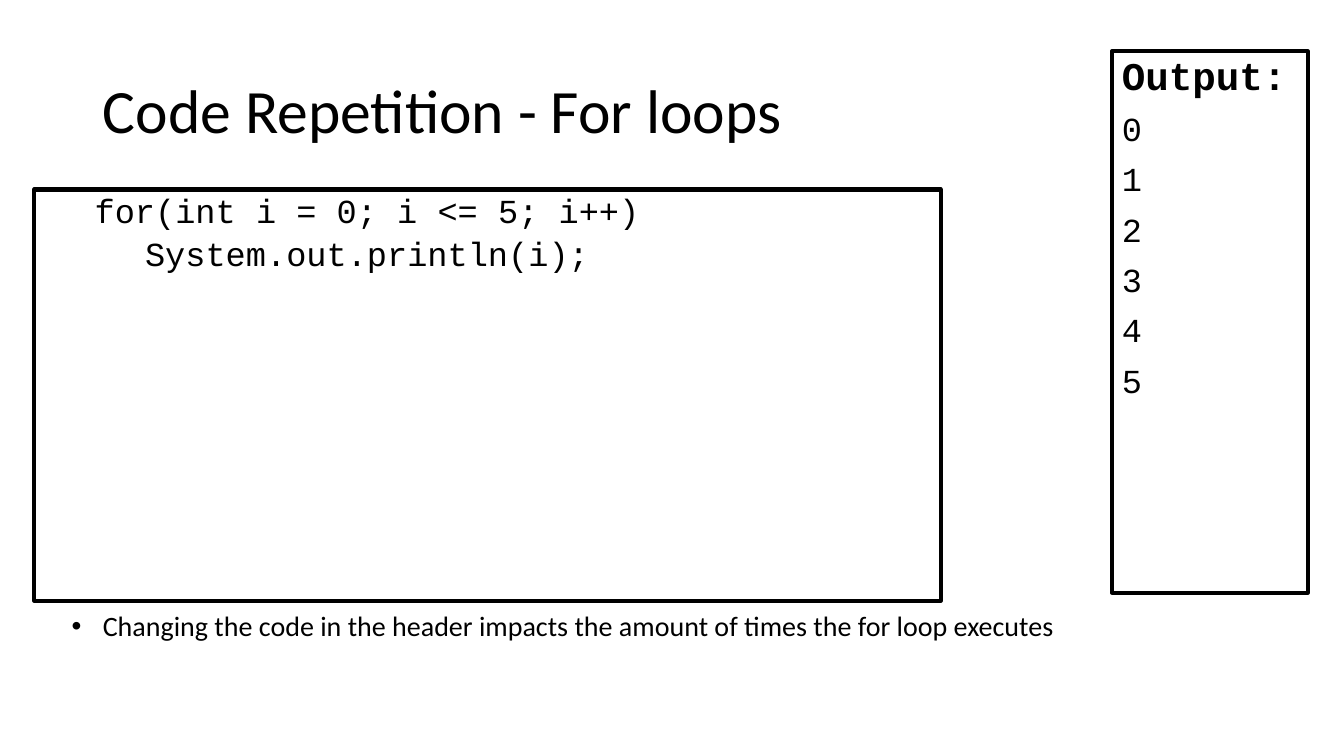
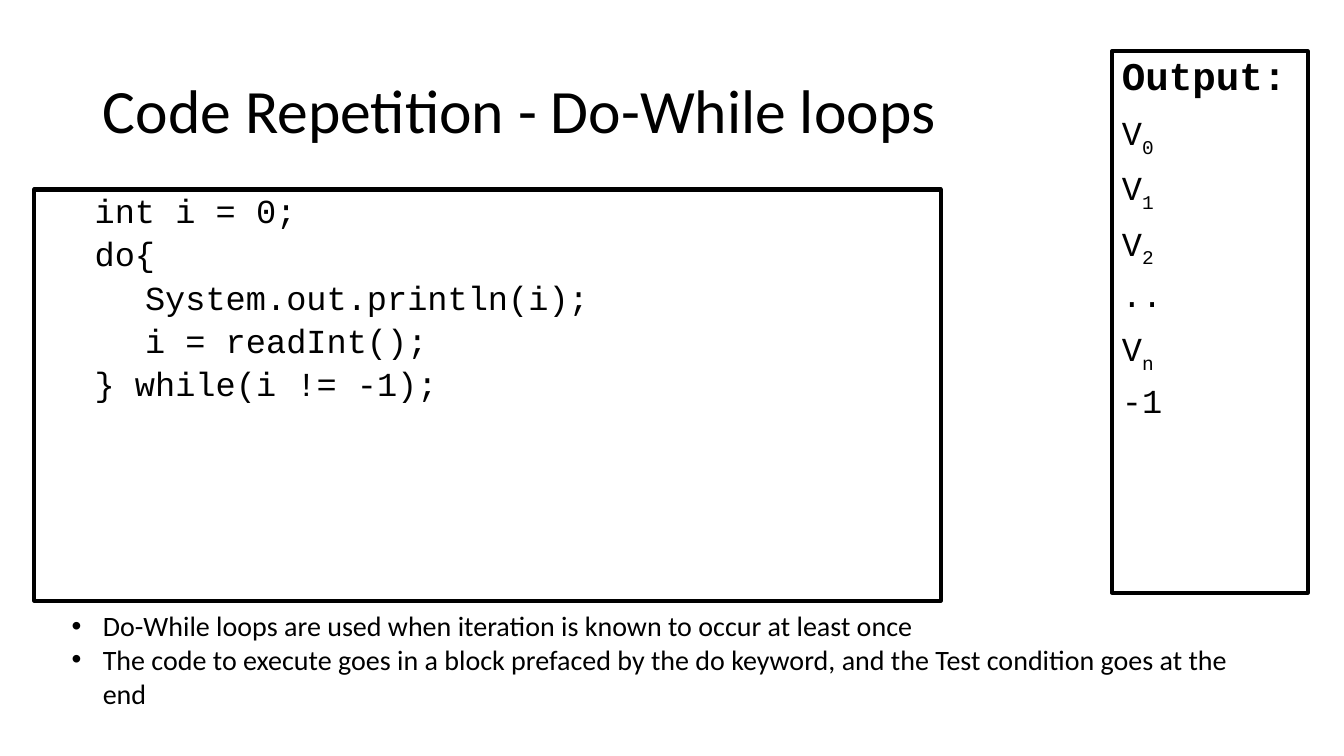
from pptx import Presentation, util as u
from pptx.dml.color import RGBColor
from pptx.enum import shapes, text

INK = "000000"
SANS, MONO = "Calibri", "Courier New"
TITLE = (0.92, 0.4, 11.5, 1.45)
OUTPUT = (11.03, 0.51, 1.94, 5.37)
CODE = (0.34, 1.88, 8.99, 4.08)
STEP = 0.5

LOOPS = [
    dict(
        name="Code Repetition - For loops",
        code=[(0, "for(int i = 0; i <= 5; i++)"), (1, "System.out.println(i);")],
        result=[(str(i), "") for i in range(6)],
        notes=["Changing the code in the header impacts the amount of times the for loop executes"],
        tall=0.44,
    ),
    dict(
        name="Code Repetition - Do-While loops",
        code=[
            (0, "int i = 0;"),
            (0, "do{"),
            (1, "System.out.println(i);"),
            (1, "i = readInt();"),
            (0, "} while(i != -1);"),
        ],
        result=[("V", "0"), ("V", "1"), ("V", "2"), ("..", ""), ("V", "n"), ("-1", "")],
        notes=[
            "Do-While loops are used when iteration is known to occur at least once",
            "The code to execute goes in a block prefaced by the do keyword, "
            "and the Test condition goes at the end",
        ],
        tall=1.11,
    ),
]


def paint(color, code):
    """Set a colour format from a hex string."""
    color.rgb = RGBColor.from_string(code)


def place(shape, box):
    """Move and size a shape in inches."""
    shape.left, shape.top, shape.width, shape.height = map(u.Inches, box)


def write(frame, words, size, face, gap=0, lead=0.9, bold=False, left=0, first=0, sub=""):
    """Add one styled paragraph, using the empty first one if it is free."""
    fresh = not frame.text
    para = frame.paragraphs[0] if fresh else frame.add_paragraph()
    para.add_run().text = words
    if sub:
        run = para.add_run()
        run.text = sub
        run._r.get_or_add_rPr().set("baseline", "-25000")
    props = para._p.get_or_add_pPr()
    props.set("marL", str(u.Inches(left)))
    props.set("indent", str(u.Inches(first)))
    para.alignment = text.PP_ALIGN.LEFT
    para.line_spacing = lead
    para.space_before = u.Pt(0 if fresh else gap)
    font = para.font
    font.name, font.size, font.bold = face, u.Pt(size), bold
    paint(font.color, INK)


def add_box(slide, box):
    """Add an outlined box and return its text frame."""
    shape = slide.shapes.add_shape(shapes.MSO_SHAPE.RECTANGLE, *map(u.Inches, box))
    shape.shadow.inherit = False
    shape.fill.background()
    paint(shape.line.color, INK)
    shape.line.width = u.Pt(3)
    frame = shape.text_frame
    frame.word_wrap = True
    frame.vertical_anchor = text.MSO_ANCHOR.TOP
    return frame


def add_title(slide, name):
    """Fill the title placeholder."""
    place(slide.shapes.title, TITLE)
    frame = slide.shapes.title.text_frame
    frame.vertical_anchor = text.MSO_ANCHOR.MIDDLE
    write(frame, name, 44, SANS)


def add_output(slide, result):
    """Add the box of printed values."""
    frame = add_box(slide, OUTPUT)
    write(frame, "Output:", 28, MONO, bold=True)
    for value, sub in result:
        write(frame, value, 24, MONO, gap=10, sub=sub)


def add_notes(slide, notes, tall):
    """Fill the body placeholder with bullets."""
    body = slide.placeholders[1]
    place(body, (0.61, 5.99, 12.06, tall))
    frame = body.text_frame
    frame.auto_size = text.MSO_AUTO_SIZE.SHAPE_TO_FIT_TEXT
    for note in notes:
        write(frame, note, 20, SANS, lead=1.0, left=0.31, first=-0.31)


def add_code(slide, code):
    """Add the box of code, indented by depth."""
    frame = add_box(slide, CODE)
    for depth, line in code:
        write(frame, line, 24, MONO, gap=5, left=STEP, first=STEP * depth)


def main():
    """Build and save the slides."""
    deck = Presentation()
    deck.slide_width, deck.slide_height = u.Inches(13.33), u.Inches(7.5)
    for loop in LOOPS:
        slide = deck.slides.add_slide(deck.slide_layouts[1])
        add_title(slide, loop["name"])
        add_output(slide, loop["result"])
        add_notes(slide, loop["notes"], loop["tall"])
        add_code(slide, loop["code"])
    deck.save("out.pptx")


if __name__ == "__main__":
    main()
